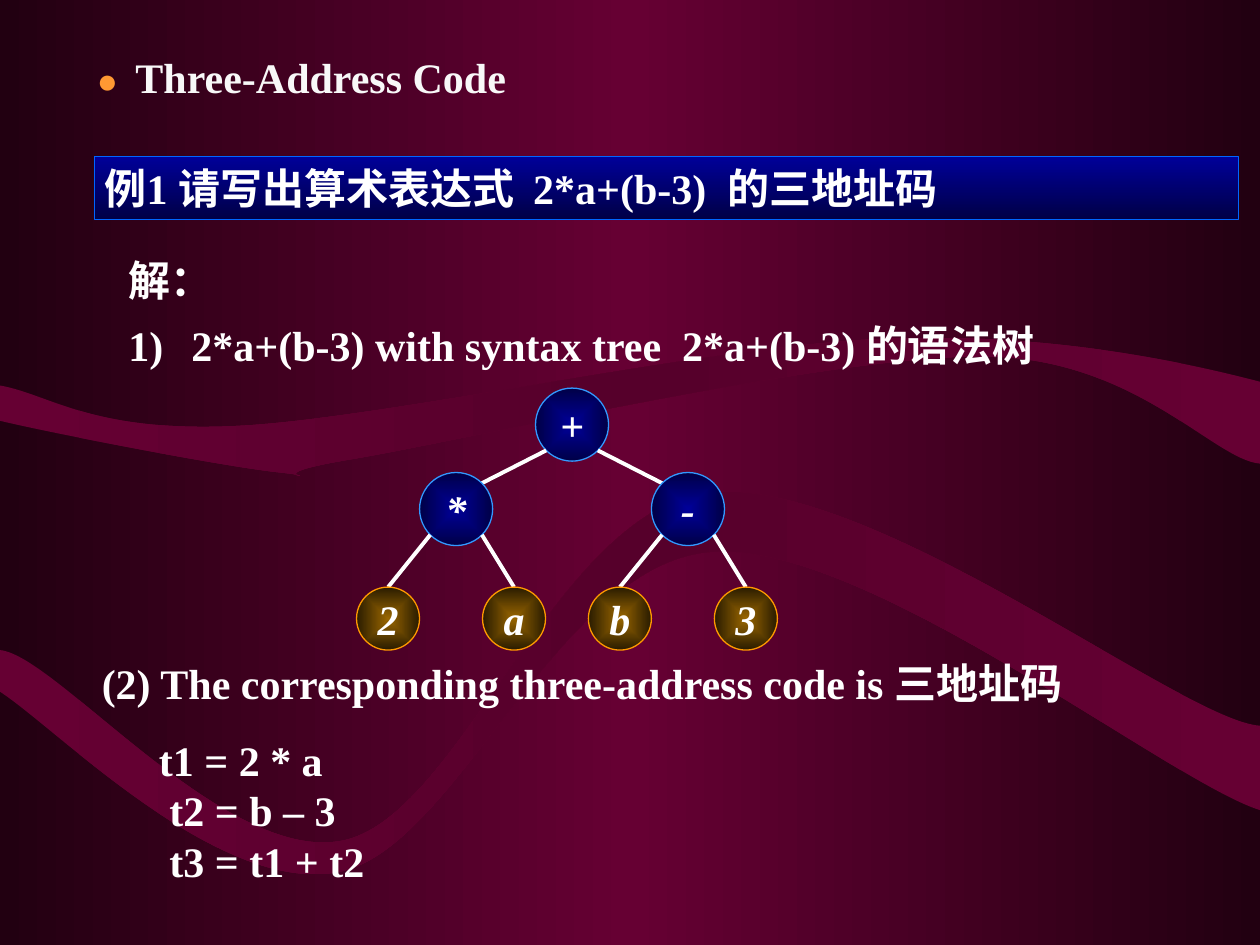
from dataclasses import dataclass
from math import sqrt

from lxml import etree
from pptx import Presentation
from pptx.dml.color import RGBColor
from pptx.enum.shapes import MSO_CONNECTOR, MSO_SHAPE
from pptx.enum.text import MSO_ANCHOR, MSO_AUTO_SIZE, PP_ALIGN
from pptx.oxml.ns import qn
from pptx.util import Inches, Pt

LINE = MSO_CONNECTOR.STRAIGHT
RECT, OVAL = MSO_SHAPE.RECTANGLE, MSO_SHAPE.OVAL
TOP, MIDDLE = MSO_ANCHOR.TOP, MSO_ANCHOR.MIDDLE
GROW = MSO_AUTO_SIZE.SHAPE_TO_FIT_TEXT
LEFT, CENTER = PP_ALIGN.LEFT, PP_ALIGN.CENTER


@dataclass(frozen=True)
class Theme:
    font: str = "Times New Roman"
    size: int = 24
    small: int = 20
    text: str = "FFFFFF"
    title: str = "F8F8F8"
    dot: str = "FF9933"
    back: tuple = ("220011", "660033", "220011")
    wave: tuple = ("660033", "56002B", "660033")
    blue: tuple = ("000099", "000047")
    gold: tuple = ("996600", "2A1C00")
    banner: str = "0066FF"
    inner: str = "3399FF"
    leaf: str = "FF9900"
    thin: float = 0.75
    edge: float = 2.25


THEME = Theme()

WAVES = [
    [(0, 3.06), (0, 3.34),
     (0.37, 3.43, 1.75, 3.7, 2.22, 3.75), (2.69, 3.8, 1.9, 3.79, 2.82, 3.64),
     (3.75, 3.48, 6.6, 2.82, 7.8, 2.83), (9, 2.83, 9.63, 3.65, 10, 3.68),
     (10, 3.03),
     (9.5, 2.9, 8.36, 2.63, 7.01, 2.69), (5.66, 2.74, 3.07, 3.32, 1.9, 3.38),
     (0.73, 3.44, 0.4, 3.13, 0, 3.06)],
    [(0, 5.16), (0, 5.49),
     (0.45, 5.78, 1.74, 7.11, 2.69, 6.92), (3.63, 6.74, 4.43, 4.46, 5.65, 4.38),
     (6.87, 4.29, 9.27, 6.2, 10, 6.43),
     (10, 5.76),
     (9.38, 5.72, 6.91, 3.77, 5.62, 3.91), (4.41, 4.06, 3.67, 6.46, 2.73, 6.67),
     (1.79, 6.87, 0.45, 5.2, 0, 5.16)],
]

ROOT = ("+", 4.54, 3.37, [
    ("*", 3.62, 4.04, [("2", 3.08, 4.91, []), ("a", 4.08, 4.91, [])]),
    ("-", 5.46, 4.04, [("b", 4.92, 4.91, []), ("3", 5.92, 4.91, [])]),
])


def rgb(code):
    return RGBColor.from_string(code)


def blend(fill, root, shades, angle=None):
    fill.gradient()
    grad = next(root.iter(qn("a:gradFill")))
    for child in list(grad):
        grad.remove(child)
    stops = etree.SubElement(grad, qn("a:gsLst"))
    for i, shade in enumerate(shades):
        spot = str(100000 * i // (len(shades) - 1))
        stop = etree.SubElement(stops, qn("a:gs"), pos=spot)
        etree.SubElement(stop, qn("a:srgbClr"), val=shade)
    if angle is None:
        way = etree.SubElement(grad, qn("a:path"), path="rect")
        etree.SubElement(way, qn("a:fillToRect"), {s: "50000" for s in "ltrb"})
    else:
        etree.SubElement(grad, qn("a:lin"), ang=str(angle * 60000), scaled="0")


def add_wave(slide, start, *steps):
    points = [step[i:i + 2] for step in steps for i in range(0, len(step), 2)]
    build = slide.shapes.build_freeform(*map(Inches, start))
    build.add_line_segments([(Inches(x), Inches(y)) for x, y in points])
    shape = build.convert_to_shape()
    legs = iter(list(shape._element.iter(qn("a:lnTo"))))
    for step in steps:
        bend = next(legs)
        if len(step) == 6:
            bend.tag = qn("a:cubicBezTo")
            for leg in (next(legs), next(legs)):
                bend.append(leg[0])
                leg.getparent().remove(leg)
    shape.shadow.inherit = False
    shape.line.fill.background()
    blend(shape.fill, shape._element.spPr, THEME.wave, 0)


def add_run(item, text, size=THEME.size, color=THEME.text, italic=False):
    run = item.add_run()
    run.text = text
    font = {"name": THEME.font, "size": Pt(size), "bold": True, "italic": italic}
    for name, value in font.items():
        setattr(run.font, name, value)
    run.font.color.rgb = rgb(color)


def write(shape, lines, frame=None, para=None, marks=None, italic=False):
    text = shape.text_frame
    look = {"word_wrap": True, "vertical_anchor": TOP, **(frame or {})}
    for name, value in look.items():
        setattr(text, name, value)
    for i, line in enumerate(lines):
        item = text.paragraphs[0] if i == 0 else text.add_paragraph()
        for name, value in (para or {}).items():
            setattr(item, name, value)
        if marks:
            add_mark(item, marks[i])
        for part in [(line,)] if isinstance(line, str) else line:
            add_run(item, *part, italic=italic)


def add_mark(item, kind):
    props = item._p.get_or_add_pPr()
    props.set("marL", str(Inches(0.5)))
    props.set("indent", str(-Inches(0.5)))
    if kind:
        shade = etree.SubElement(props, qn("a:buClr"))
        etree.SubElement(shade, qn("a:srgbClr"), val=THEME.text)
        etree.SubElement(props, qn("a:buFont"), typeface=THEME.font)
        etree.SubElement(props, qn("a:buAutoNum"), type=kind)


def add_text(slide, box, lines, **look):
    write(slide.shapes.add_textbox(*map(Inches, box)), lines, **look)


def add_block(slide, kind, box, shades, border, angle=None):
    shape = slide.shapes.add_shape(kind, *map(Inches, box))
    shape.shadow.inherit = False
    blend(shape.fill, shape._element.spPr, shades, angle)
    shape.line.color.rgb = rgb(border)
    shape.line.width = Pt(THEME.thin)
    return shape


def add_edge(slide, *ends):
    edge = slide.shapes.add_connector(LINE, *map(Inches, ends))
    edge.line.color.rgb = rgb(THEME.text)
    edge.line.width = Pt(THEME.edge)
    etree.SubElement(edge._element.spPr, qn("a:effectLst"))


def add_tree(slide, node):
    sign, x, y, kids = node
    size = 0.58 if kids else 0.5
    shades, border = (THEME.blue, THEME.inner) if kids else (THEME.gold, THEME.leaf)
    box = (x - size / 2, y - size / 2, size, size)
    shape = add_block(slide, OVAL, box, shades, border)
    write(shape, [sign], {"word_wrap": False, "vertical_anchor": MIDDLE},
          {"alignment": CENTER}, italic=True)
    reach = size / 2 / sqrt(2)
    for kid in kids:
        _, left, top, below = kid
        side = reach if left > x else -reach
        end = (left - side, top - reach) if below else (left, top - 0.25)
        add_edge(slide, x + side, y + reach, *end)
        add_tree(slide, kid)


def main():
    deck = Presentation()
    deck.slide_width, deck.slide_height = Inches(10), Inches(7.5)
    slide = deck.slides.add_slide(deck.slide_layouts[6])
    blend(slide.background.fill, slide._element, THEME.back, 0)
    for wave in WAVES:
        add_wave(slide, *wave)
    add_text(slide, (0.67, 0.42, 8.5, 0.42),
             [[("●  ", THEME.small, THEME.dot),
               ("Three-Address Code", THEME.size, THEME.title)]],
             frame={"vertical_anchor": MIDDLE}, para={"line_spacing": 0.9})
    banner = add_block(slide, RECT, (0.75, 1.24, 9.08, 0.5), THEME.blue, THEME.banner, 90)
    write(banner, ["例1 请写出算术表达式  2*a+(b-3)  的三地址码"],
          {"margin_left": Inches(0.08), "auto_size": GROW}, {"alignment": LEFT})
    add_text(slide, (0.92, 1.92, 9.08, 1),
             ["解：", "2*a+(b-3) with syntax tree  2*a+(b-3) 的语法树"],
             frame={"vertical_anchor": MIDDLE}, para={"line_spacing": 1.3},
             marks=[None, "arabicParenR"])
    add_tree(slide, ROOT)
    add_text(slide, (1.08, 5.78, 6.92, 1.3),
             [" t1 = 2 * a", "  t2 = b – 3", "  t3 = t1 + t2"], frame={"auto_size": GROW})
    add_text(slide, (0.71, 5.17, 7.93, 0.5),
             ["(2) The corresponding three-address code is 三地址码"],
             frame={"word_wrap": False, "auto_size": GROW})
    deck.save("out.pptx")


if __name__ == "__main__":
    main()
